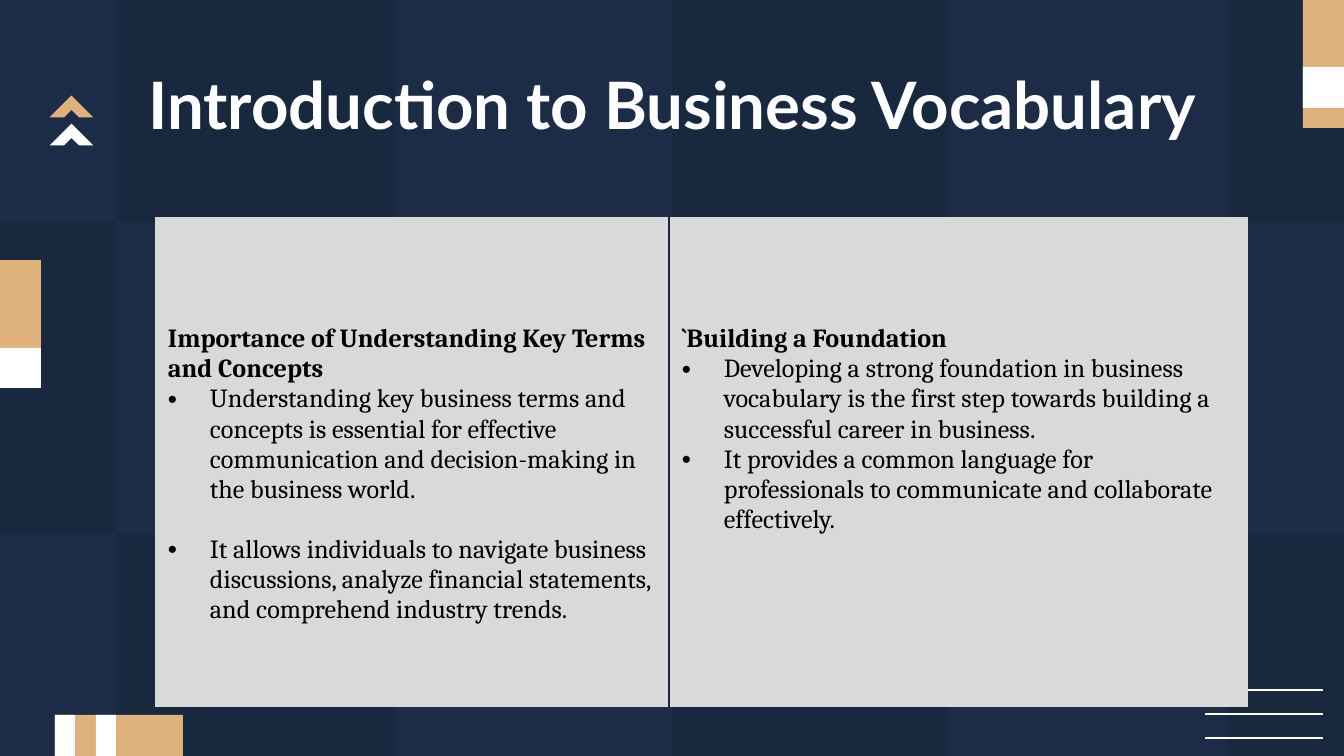
from lxml import etree
from pptx import Presentation
from pptx.dml.color import RGBColor
from pptx.enum.shapes import MSO_CONNECTOR, MSO_SHAPE
from pptx.enum.text import MSO_ANCHOR, MSO_AUTO_SIZE, PP_ALIGN
from pptx.oxml.ns import qn
from pptx.util import Emu, Pt

RECTANGLE = MSO_SHAPE.RECTANGLE
HALF_FRAME = MSO_SHAPE.HALF_FRAME
STRAIGHT = MSO_CONNECTOR.STRAIGHT
TOP, MIDDLE = MSO_ANCHOR.TOP, MSO_ANCHOR.MIDDLE
CENTER, LEFT = PP_ALIGN.CENTER, PP_ALIGN.LEFT
NO_AUTOFIT = MSO_AUTO_SIZE.NONE

PX_PER_INCH = 134.4
NAVY, TILE_BLUE, SAND = "18283F", "1C2C46", "DEB27A"
WHITE, BLACK, PANEL_GRAY = "FFFFFF", "000000", "D9D9D9"
PLAIN_TABLE = "{2D5ABB26-0587-4C30-8999-92F81FD0307C}"

TITLE_FONT = {"name": "Lato", "size": Pt(35), "bold": True}
HEADING_FONT = {"name": "Cambria", "size": Pt(14), "bold": True}
BODY_FONT = {**HEADING_FONT, "bold": False}

TILE_EDGES_X = [0, 117, 395, 672, 949, 1227, 1344]
TILE_EDGES_Y = [0, 222, 534, 756]
ACCENT_BARS = [
    (55, 715, 128, 41, SAND),
    (55, 715, 20, 41, WHITE),
    (96, 715, 20, 41, WHITE),
    (0, 260, 41, 128, SAND),
    (0, 348, 41, 40, WHITE),
    (1303, 0, 41, 128, SAND),
    (1303, 67, 41, 41, WHITE),
]
TOPICS = [
    {
        "heading": "Importance of Understanding Key Terms and Concepts",
        "points": [
            "Understanding key business terms and concepts is essential for effective "
            "communication and decision-making in the business world.",
            "It allows individuals to navigate business discussions, analyze financial "
            "statements, and comprehend industry trends.",
        ],
        "top_margin": 90,
        "point_gap": 16,
        "border": "a:lnR",
    },
    {
        "heading": "`Building a Foundation",
        "points": [
            "Developing a strong foundation in business vocabulary is the first step "
            "towards building a successful career in business.",
            "It provides a common language for professionals to communicate and "
            "collaborate effectively.",
        ],
        "top_margin": 0,
        "point_gap": 0,
        "border": "a:lnL",
    },
]


def px(length):
    return Emu(round(length * 914400 / PX_PER_INCH))


def color(hex_value):
    return RGBColor.from_string(hex_value)


def apply(target, values):
    for name, value in values.items():
        setattr(target, name, value)


def paint(filled, hex_value):
    filled.fill.solid()
    filled.fill.fore_color.rgb = color(hex_value)


def add_block(slide, left, top, width, height, hex_value, preset=RECTANGLE):
    block = slide.shapes.add_shape(preset, px(left), px(top), px(width), px(height))
    block.shadow.inherit = False
    paint(block, hex_value)
    block.line.fill.background()
    return block


def add_checkerboard(slide):
    for row, (top, bottom) in enumerate(zip(TILE_EDGES_Y, TILE_EDGES_Y[1:])):
        for column, (left, right) in enumerate(zip(TILE_EDGES_X, TILE_EDGES_X[1:])):
            if (row + column) % 2 == 0:
                add_block(slide, left, top, right - left, bottom - top, TILE_BLUE)


def add_rule(slide, y):
    rule = slide.shapes.add_connector(STRAIGHT, px(1323), px(y), px(1205), px(y))
    rule.line.color.rgb = color(WHITE)
    rule.line.width = Pt(0.75)
    etree.SubElement(rule._element.spPr, qn("a:effectLst"))


def add_chevron(slide, top, hex_value):
    chevron = add_block(slide, 56, top, 31, 31, hex_value, HALF_FRAME)
    chevron.rotation = 45
    for index in range(2):
        chevron.adjustments[index] = 0.33


def add_text(paragraph, text, font):
    run = paragraph.add_run()
    run.text = text
    apply(run.font, font)
    return run


def add_title(slide, text):
    title = slide.shapes.title
    apply(title, {"left": px(106), "top": px(51), "width": px(1133), "height": px(85)})
    margins = dict.fromkeys(
        ["margin_left", "margin_top", "margin_right", "margin_bottom"], px(13))
    apply(title.text_frame, {"auto_size": NO_AUTOFIT, "word_wrap": True,
                             "vertical_anchor": TOP, **margins})
    paragraph = title.text_frame.paragraphs[0]
    paragraph.alignment = CENTER
    add_text(paragraph, text, TITLE_FONT).font.color.rgb = color(WHITE)
    slide.shapes._spTree.append(title._element)


def add_bullet(paragraph):
    properties = paragraph._p.get_or_add_pPr()
    properties.set("marL", str(px(42)))
    properties.set("indent", str(px(-42)))
    bullet_color = etree.SubElement(properties, qn("a:buClr"))
    etree.SubElement(bullet_color, qn("a:srgbClr"), val=BLACK)
    etree.SubElement(properties, qn("a:buFont"), typeface="Arial")
    etree.SubElement(properties, qn("a:buChar"), char="•")


def add_border(cell, side):
    border = etree.Element(qn(side), w=str(Pt(1.5)))
    fill = etree.SubElement(border, qn("a:solidFill"))
    etree.SubElement(fill, qn("a:srgbClr"), val=NAVY)
    cell._tc.get_or_add_tcPr().insert(0, border)


def fill_topic(cell, topic):
    cell.margin_top = px(topic["top_margin"])
    heading = cell.text_frame.paragraphs[0]
    heading.alignment = LEFT
    add_text(heading, topic["heading"], HEADING_FONT).font.color.rgb = color(BLACK)
    for index, point in enumerate(topic["points"]):
        paragraph = cell.text_frame.add_paragraph()
        paragraph.alignment = LEFT
        paragraph.space_before = Pt(topic["point_gap"] * index)
        add_bullet(paragraph)
        add_text(paragraph, point, BODY_FONT).font.color.rgb = color(BLACK)


def add_topic_table(slide):
    widths, heights = [514, 579], [425, 31, 34]
    frame = slide.shapes.add_table(len(heights), len(widths), px(155), px(217),
                                   px(sum(widths)), px(sum(heights)))
    table = frame.table
    apply(table, {"first_row": False, "horz_banding": False})
    table._tbl.tblPr.find(qn("a:tableStyleId")).text = PLAIN_TABLE
    for column, width in zip(table.columns, widths):
        column.width = px(width)
    for row, height in zip(table.rows, heights):
        row.height = px(height)
        for cell, topic in zip(row.cells, TOPICS):
            apply(cell, {"vertical_anchor": MIDDLE, "margin_left": px(13),
                         "margin_right": px(13), "margin_top": 0, "margin_bottom": 0})
            paint(cell, PANEL_GRAY)
            add_border(cell, topic["border"])
            cell.text_frame.paragraphs[0]._p.get_or_add_endParaRPr().set("sz", "1000")
    for cell, topic in zip(table.rows[0].cells, TOPICS):
        fill_topic(cell, topic)


def main():
    presentation = Presentation()
    apply(presentation, {"slide_width": px(1344), "slide_height": px(756)})
    slide = presentation.slides.add_slide(presentation.slide_layouts[5])
    paint(slide.background, NAVY)
    add_checkerboard(slide)
    for y in range(690, 739, 24):
        add_rule(slide, y)
    for bar in ACCENT_BARS:
        add_block(slide, *bar)
    add_chevron(slide, 102, SAND)
    add_chevron(slide, 130, WHITE)
    add_title(slide, "Introduction to Business Vocabulary")
    add_topic_table(slide)
    presentation.save("out.pptx")


if __name__ == "__main__":
    main()
